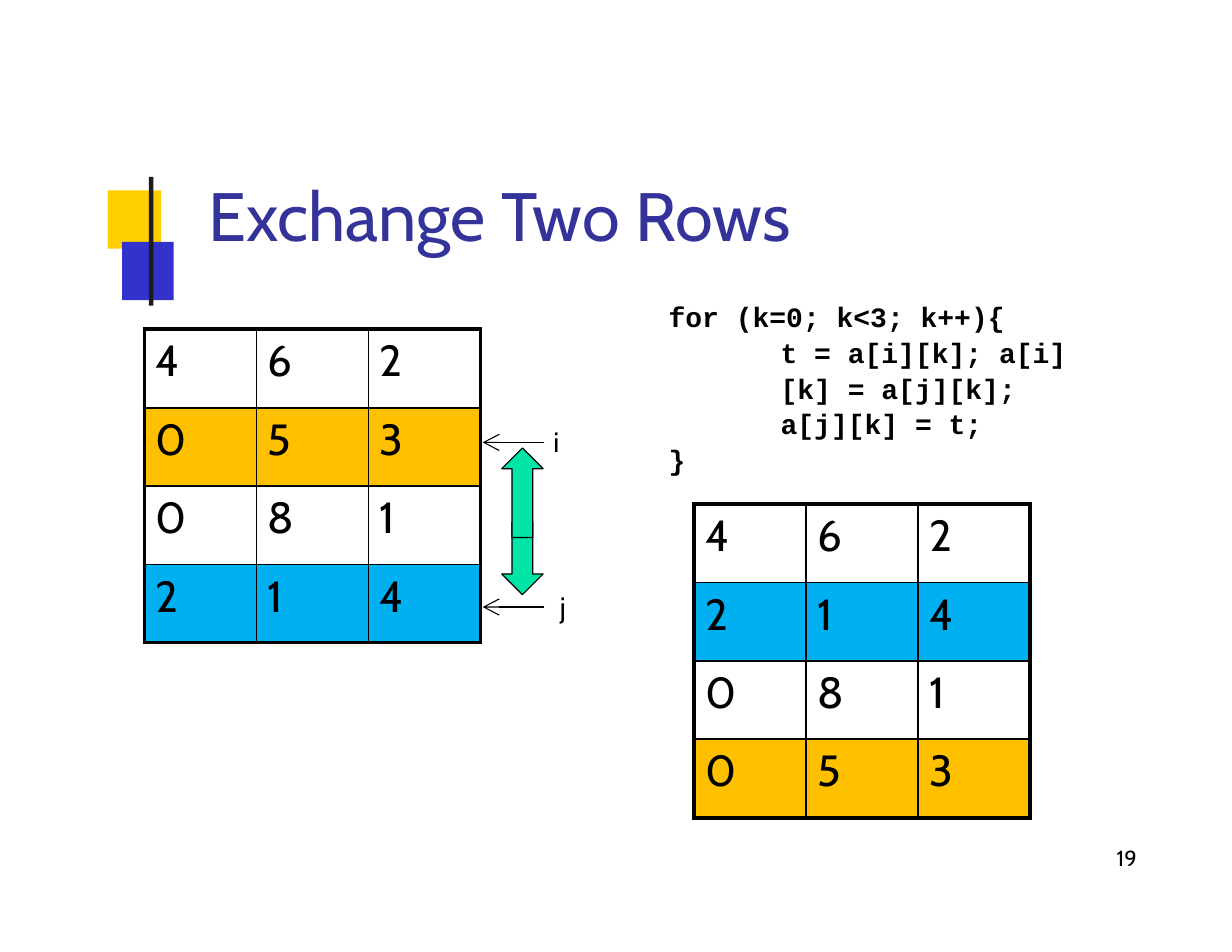
from dataclasses import dataclass

import pptx
import pptx.dml.color
import pptx.enum.shapes
import pptx.oxml
import pptx.util
from pptx.enum.shapes import MSO_CONNECTOR, MSO_SHAPE
from pptx.util import Inches

BLACK = "000000"
AMBER = "FFC000"
SKY = "00B0F0"
GREEN = "00E4A8"
NS = 'xmlns:a="http://schemas.openxmlformats.org/drawingml/2006/main"'


@dataclass
class Block:
    x: float
    y: float
    w: float
    h: float
    color: str


@dataclass
class Label:
    text: str
    x: float
    y: float
    w: float
    h: float
    size: float
    color: str = BLACK
    inset_top: float = 0.01
    inset_left: float = 0.01


@dataclass
class Matrix:
    """Border widths run left to right and top to bottom, in points."""
    x: float
    y: float
    rows: list[str]
    fills: list[str | None]
    verticals: list[float]
    horizontals: list[float]


BLOCKS = [
    Block(0.96, 1.7, 0.48, 0.52, "FFCF01"),
    Block(1.09, 2.16, 0.46, 0.52, "3333CC"),
    Block(1.33, 1.58, 0.04, 1.15, "1C1C1C"),
]
LABELS = [
    Label("Exchange Two Rows", 1.82, 0.8, 7.27, 1.5, 44, "333399", 0.75, 0.04),
    Label("i", 4.93, 3.78, 0.09, 0.33, 18),
    Label("j", 4.99, 5.25, 0.1, 0.33, 18),
    Label("19", 9.93, 7.53, 0.31, 0.26, 14, inset_left=0.04),
]
MATRICES = [
    Matrix(1.29, 2.94, ["462", "053", "081", "214"], [None, AMBER, None, SKY],
           [2.25, 1, 1, 2.25], [3, 1.5, 1, 1, 2.25]),
    Matrix(6.2, 4.5, ["462", "214", "081", "053"], [None, SKY, None, AMBER],
           [3, 1.5, 1.5, 3], [3, 1, 1.5, 1.5, 3]),
]
CODE = [
    ("for (k=0; k<3; k++){", 0.01),
    ("t = a[i][k]; a[i][k] = a[j][k]; a[j][k] = t;", 1.01),
    ("}", 0.01),
]


def rgb(color: str) -> pptx.dml.color.RGBColor:
    return pptx.dml.color.RGBColor.from_string(color)


def set_font(p, name: str, size: float, color: str, bold: bool = False) -> None:
    p.font.name = name
    p.font.size = pptx.util.Pt(size)
    p.font.bold = bold
    p.font.color.rgb = rgb(color)


def add_text_frame(s, x: float, y: float, w: float, h: float,
                   left: float, top: float, wrap: bool):
    tf = s.shapes.add_textbox(Inches(x), Inches(y), Inches(w), Inches(h)).text_frame
    tf.margin_left, tf.margin_top = Inches(left), Inches(top)
    tf.margin_right = tf.margin_bottom = 0
    tf.word_wrap = wrap
    return tf


def add_label(s, label: Label) -> None:
    tf = add_text_frame(s, label.x, label.y, label.w, label.h,
                        label.inset_left, label.inset_top, False)
    p = tf.paragraphs[0]
    p.text = label.text
    set_font(p, "Cabin", label.size, label.color)


def add_code(s) -> None:
    tf = add_text_frame(s, 5.96, 2.65, 3.72, 1.53, 0, 0.01, True)
    for i, (text, indent) in enumerate(CODE):
        p = tf.paragraphs[0] if i == 0 else tf.add_paragraph()
        p.text = text
        p.line_spacing = 1.06
        p._p.get_or_add_pPr().set("marL", str(Inches(indent)))
        set_font(p, "Courier New", 18, BLACK, True)


def add_shape(s, kind, block: Block, outlined: bool = False) -> None:
    sp = s.shapes.add_shape(kind, Inches(block.x), Inches(block.y),
                            Inches(block.w), Inches(block.h))
    sp.shadow.inherit = False
    sp.fill.solid()
    sp.fill.fore_color.rgb = rgb(block.color)
    if outlined:
        sp.line.color.rgb = rgb(BLACK)
        sp.line.width = pptx.util.Pt(0.75)
    else:
        sp.line.fill.background()


def add_pointer(s, y: float) -> None:
    """Draw a thin arrow from a row label to the table's right edge."""
    c = s.shapes.add_connector(MSO_CONNECTOR.STRAIGHT, Inches(4.86), Inches(y),
                               Inches(4.31), Inches(y))
    c.line.color.rgb = rgb(BLACK)
    c.line.width = pptx.util.Pt(0.75)
    c.line._get_or_add_ln().append(pptx.oxml.parse_xml(
        f'<a:tailEnd {NS} type="arrow" w="lg" len="lg"/>'))
    c._element.spPr.append(pptx.oxml.parse_xml(f"<a:effectLst {NS}/>"))


def set_border(cell, side: str, width: float) -> None:
    cell._tc.get_or_add_tcPr().append(pptx.oxml.parse_xml(
        f'<a:ln{side} {NS} w="{pptx.util.Pt(width)}"><a:solidFill>'
        f'<a:srgbClr val="{BLACK}"/></a:solidFill></a:ln{side}>'))


def add_matrix(s, m: Matrix) -> None:
    n_rows, n_cols = len(m.rows), len(m.rows[0])
    table = s.shapes.add_table(n_rows, n_cols, Inches(m.x), Inches(m.y),
                               Inches(n_cols), Inches(0.7 * n_rows)).table
    table.first_row = table.horz_banding = False
    for r, (digits, fill) in enumerate(zip(m.rows, m.fills)):
        table.rows[r].height = Inches(0.7)
        for c, digit in enumerate(digits):
            cell = table.cell(r, c)
            cell.margin_left, cell.margin_top = Inches(0.1), Inches(0.05)
            cell.margin_right = cell.margin_bottom = 0
            set_border(cell, "L", m.verticals[c])
            set_border(cell, "R", m.verticals[c + 1])
            set_border(cell, "T", m.horizontals[r])
            set_border(cell, "B", m.horizontals[r + 1])
            if fill:
                cell.fill.solid()
                cell.fill.fore_color.rgb = rgb(fill)
            else:
                cell.fill.background()
            p = cell.text_frame.paragraphs[0]
            p.text = digit
            set_font(p, "Cabin", 28, BLACK)


def main() -> None:
    prs = pptx.Presentation()
    prs.slide_width, prs.slide_height = Inches(11), Inches(8.5)
    s = prs.slides.add_slide(prs.slide_layouts[6])
    for block in BLOCKS:
        add_shape(s, MSO_SHAPE.RECTANGLE, block)
    for matrix in MATRICES:
        add_matrix(s, matrix)
    for y in (3.95, 5.42):
        add_pointer(s, y)
    add_shape(s, MSO_SHAPE.DOWN_ARROW, Block(4.48, 4.66, 0.37, 0.65, GREEN), True)
    add_shape(s, MSO_SHAPE.UP_ARROW, Block(4.48, 4, 0.37, 0.8, GREEN), True)
    for label in LABELS:
        add_label(s, label)
    add_code(s)
    prs.save("out.pptx")


if __name__ == "__main__":
    main()
